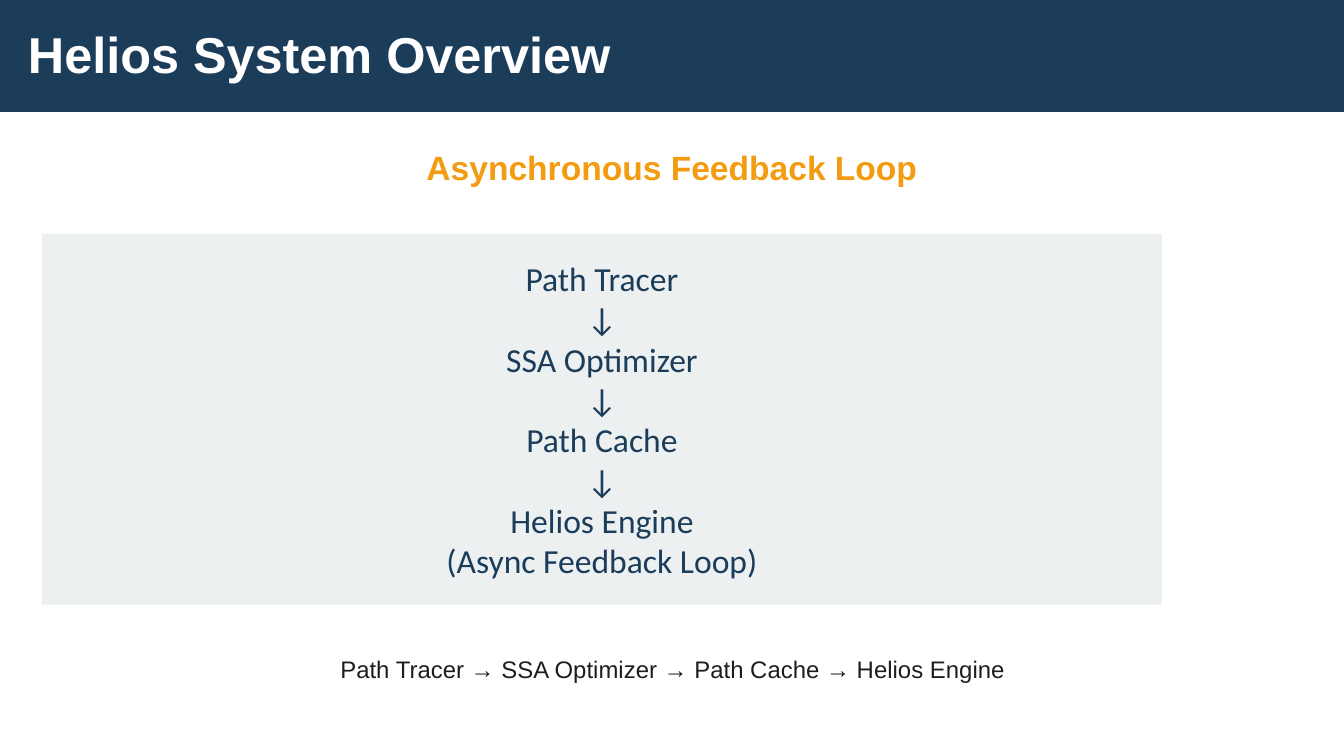
"""Build the Helios system overview slide."""
from pptx import Presentation
from pptx.dml.color import RGBColor
from pptx.enum.shapes import MSO_SHAPE
from pptx.enum.text import MSO_ANCHOR, MSO_AUTO_SIZE, PP_ALIGN
from pptx.util import Pt

PX = 9525
NAVY = "1C3D5A"
STEPS = ["Path Tracer", "SSA Optimizer", "Path Cache", "Helios Engine"]


def paint(target, color):
    if hasattr(target, "solid"):
        target.solid()
        target.fore_color.rgb = RGBColor.from_string(color)
    else:
        target.color.rgb = RGBColor.from_string(color)


deck = Presentation()
deck.slide_width, deck.slide_height = 960 * PX, 540 * PX
slide = deck.slides.add_slide(deck.slide_layouts[5])
shapes = slide.shapes
title = shapes.title

panels = []
for box, color in [
    ((0, 0, 960, 80), NAVY),
    ((30, 167, 800, 265), "ECF0F1"),
]:
    panel = shapes.add_shape(MSO_SHAPE.RECTANGLE, *[n * PX for n in box])
    panel.shadow.inherit = False
    paint(panel.fill, color)
    panel.line.fill.background()
    panels.append(panel)
bar, flow = panels
title.element.addprevious(bar.element)

head = shapes.add_textbox(0, 0, PX, PX)
foot = shapes.add_textbox(0, 0, PX, PX)
left, mid = PP_ALIGN.LEFT, PP_ALIGN.CENTER
for shape, box, text, size, bold, color, align, lead, above, below in [
    (title, (20, 20, 470, 40), "Helios System Overview",
     27, True, "FFFFFF", left, 30, 0, 0),
    (head, (301, 105, 358, 29), "Asynchronous Feedback Loop",
     18, True, "F39C12", mid, 21.6, 0, 13.5),
    (foot, (240, 464, 481, 24), " → ".join(STEPS),
     12.8, False, "1D1D1D", mid, 17.9, 3, 3),
]:
    shape.left, shape.top, shape.width, shape.height = [n * PX for n in box]
    frame = shape.text_frame
    frame.word_wrap = True
    frame.auto_size = MSO_AUTO_SIZE.NONE
    frame.vertical_anchor = MSO_ANCHOR.TOP
    frame.margin_left = frame.margin_right = 0
    frame.margin_top = frame.margin_bottom = 0
    frame.text = text
    para = frame.paragraphs[0]
    para.alignment = align
    para.line_spacing = Pt(lead)
    para.space_before, para.space_after = Pt(above), Pt(below)
    para.font.name, para.font.size, para.font.bold = "Arial", Pt(size), bold
    paint(para.font, color)

frame = flow.text_frame
frame.vertical_anchor = MSO_ANCHOR.MIDDLE
frame.text = "\n↓\n".join(STEPS) + "\n(Async Feedback Loop)"
for para in frame.paragraphs:
    para.alignment = mid
    para.font.name, para.font.size = "Calibri", Pt(18)
    paint(para.font, NAVY)

deck.save("out.pptx")
